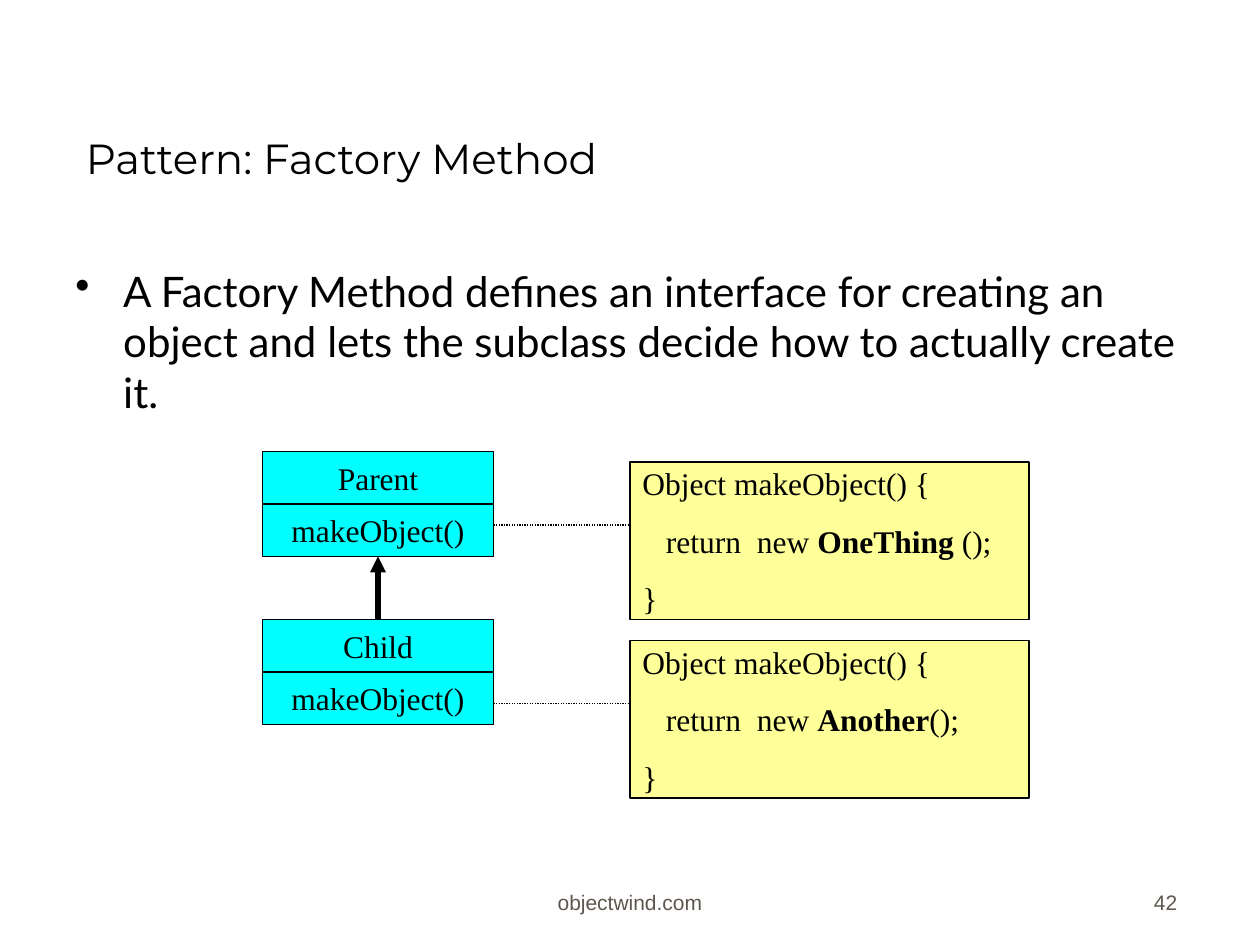
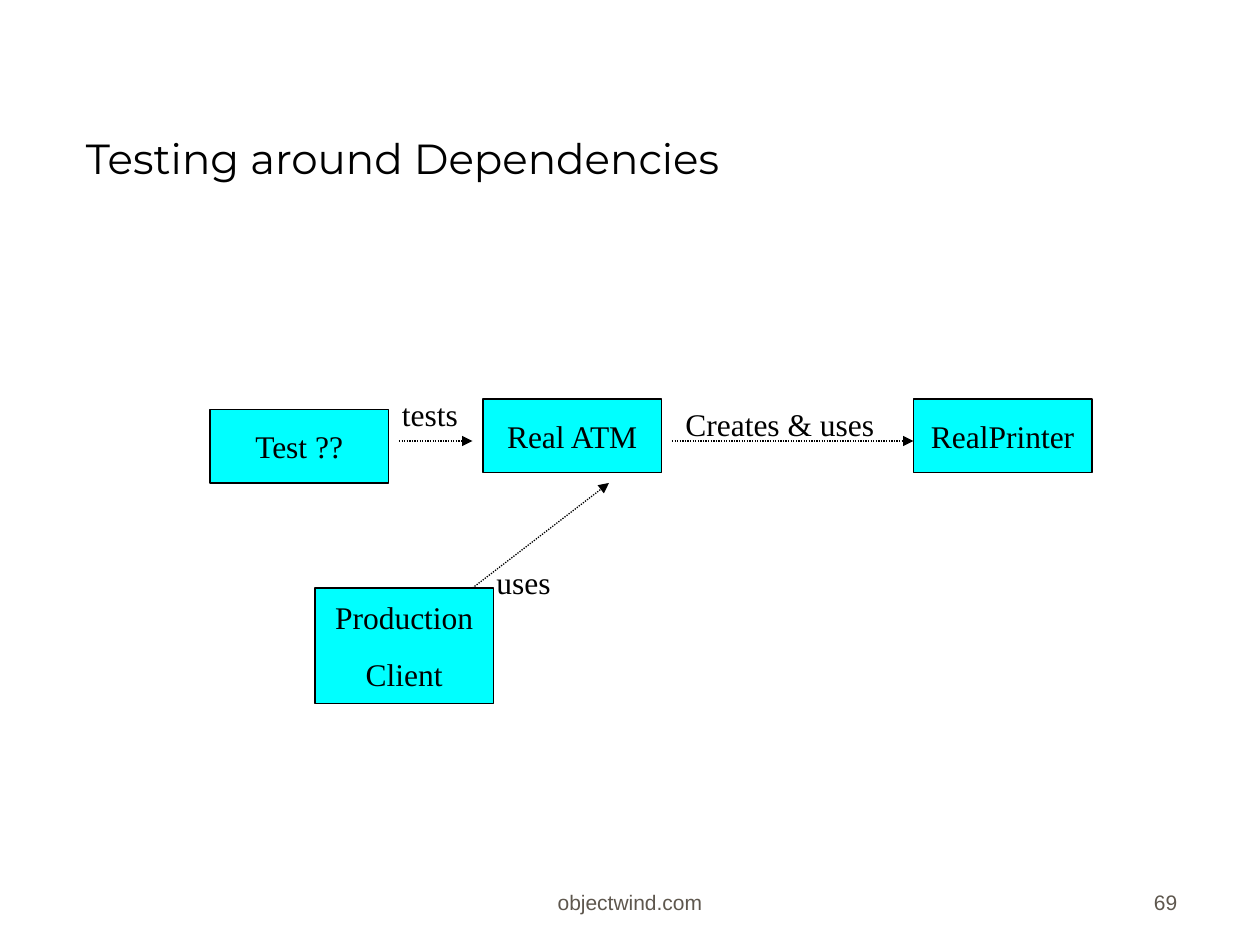
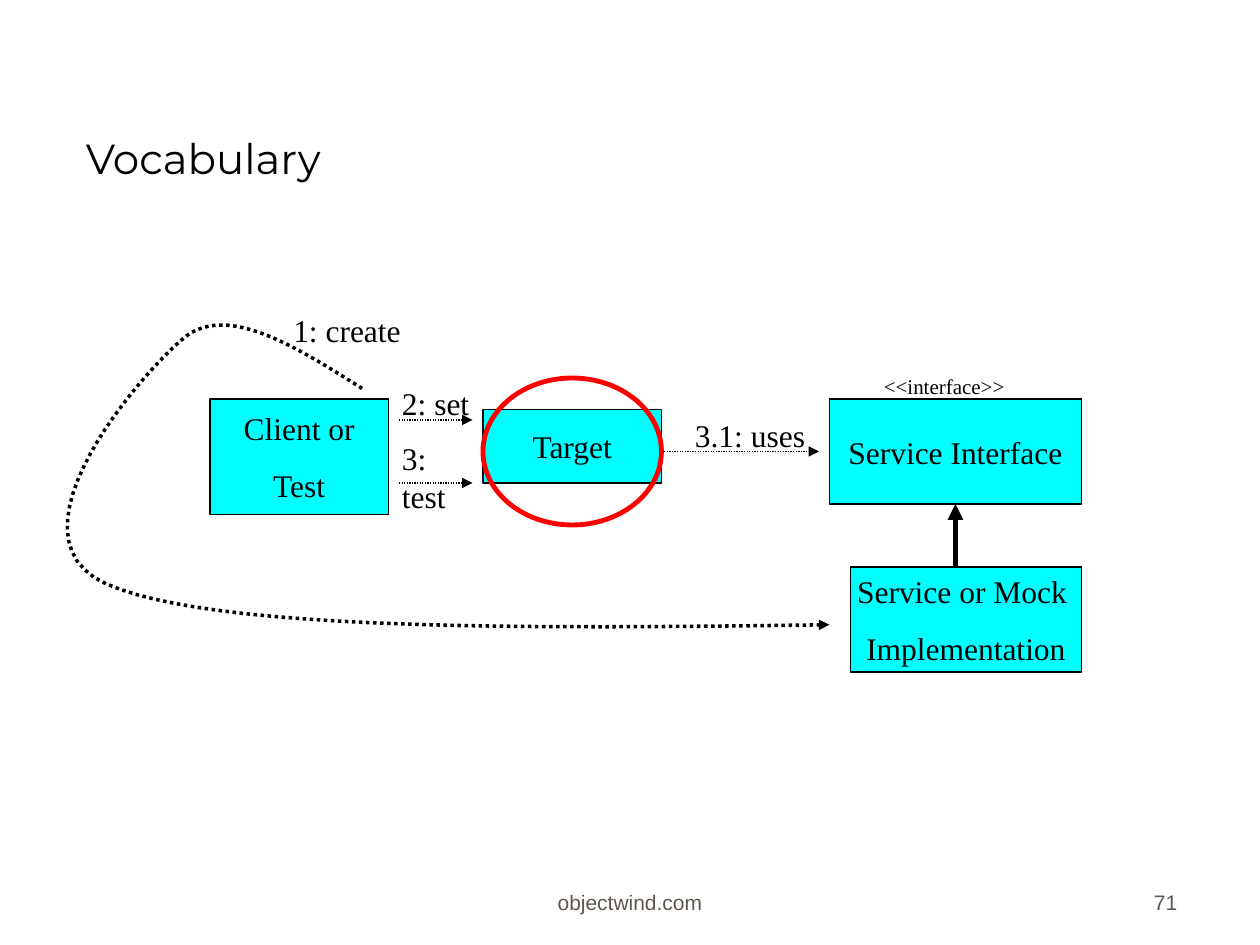
from dataclasses import dataclass

from lxml import etree
from pptx import Presentation
from pptx.dml.color import RGBColor
from pptx.enum.dml import MSO_LINE
from pptx.enum.shapes import MSO_CONNECTOR, MSO_SHAPE
from pptx.enum.text import MSO_ANCHOR, PP_ALIGN
from pptx.oxml.ns import qn
from pptx.util import Inches, Pt

LEFT, CENTER, RIGHT = PP_ALIGN.LEFT, PP_ALIGN.CENTER, PP_ALIGN.RIGHT
TOP, MIDDLE, BOTTOM = MSO_ANCHOR.TOP, MSO_ANCHOR.MIDDLE, MSO_ANCHOR.BOTTOM
RECT, OVAL = MSO_SHAPE.RECTANGLE, MSO_SHAPE.OVAL
STRAIGHT = MSO_CONNECTOR.STRAIGHT
DOTTED = MSO_LINE.ROUND_DOT

CELL = Inches(1) // 12  # the slide is a grid of 120 columns by 90 rows


def cells(*values):
    return [round(v * CELL) for v in values]


def font(name, size, color):
    return {"name": name, "size": Pt(size), "color": color}


@dataclass
class Theme:
    ink = RGBColor(0, 0, 0)
    grey = RGBColor(0x5E, 0x57, 0x4E)
    cyan = RGBColor(0, 0xFF, 0xFF)
    yellow = RGBColor(0xFF, 0xFF, 0x99)
    red = RGBColor(0xFF, 0, 0)
    title = font("Montserrat", 24, ink)
    body = font("Lato", 24, ink)
    diagram = font("Times New Roman", 18, ink)
    small = font("Times New Roman", 12, ink)
    footer = font("Arial", 12, grey)
    thin, curve, ring, thick = 0.75, 2, 2.75, 3
    para_gap = Pt(11.2)


class Deck:
    def __init__(self, theme):
        self.theme = theme
        self.prs = Presentation()
        self.prs.slide_width, self.prs.slide_height = cells(120, 90)
        self.s = None

    # Slide frame: title, footer and number
    def slide(self, title, number):
        t = self.theme
        self.s = self.prs.slides.add_slide(self.prs.slide_layouts[6])
        self.text((7, 3, 96.4, 15), title, t.title, anchor=BOTTOM)
        self.text((41, 81.7, 38, 6), "objectwind.com", t.footer, CENTER, BOTTOM)
        self.text((88.3, 81.7, 25, 6), str(number), t.footer, RIGHT, BOTTOM)

    # Text: lines are split at "\n", every second part around "**" is bold
    def put_text(self, tf, text, style, align, anchor, wrap):
        tf.word_wrap, tf.vertical_anchor = wrap, anchor
        for i, line in enumerate(text.split("\n")):
            p = tf.add_paragraph() if i else tf.paragraphs[0]
            p.alignment = align
            p.space_before = self.theme.para_gap if i else Pt(0)
            for j, part in enumerate(line.split("**")):
                r = p.add_run()
                r.text = part
                for key, value in style.items():
                    if key == "color":
                        r.font.color.rgb = value
                    else:
                        setattr(r.font, key, value)
                r.font.bold = j % 2 == 1

    def text(self, box, text, style, align=LEFT, anchor=TOP, wrap=True):
        sp = self.s.shapes.add_textbox(*cells(*box))
        self.put_text(sp.text_frame, text, style, align, anchor, wrap)
        return sp

    def label(self, x, y, width, text, style=None):
        self.text((x, y, width, 4.8), text, style or self.theme.diagram, wrap=False)

    def bullet(self, box, text):
        p = self.text(box, text, self.theme.body).text_frame.paragraphs[0]
        pPr = p._p.get_or_add_pPr()
        pPr.set("marL", str(Inches(0.38)))
        pPr.set("indent", str(-Inches(0.38)))
        etree.SubElement(pPr, qn("a:buChar")).set("char", "•")

    # Outlines
    def stroke(self, line, width, color=None, dash=None, arrow=False):
        line.color.rgb = color or self.theme.ink
        line.width = Pt(width)
        if dash:
            line.dash_style = dash
        if arrow:
            ln = line._get_or_add_ln()
            etree.SubElement(ln, qn("a:tailEnd")).set("type", "triangle")

    # Boxes
    def box(self, box, text, fill=None, align=CENTER):
        sp = self.s.shapes.add_shape(RECT, *cells(*box))
        sp.shadow.inherit = False
        sp.fill.solid()
        sp.fill.fore_color.rgb = fill or self.theme.cyan
        self.stroke(sp.line, self.theme.thin)
        self.put_text(sp.text_frame, text, self.theme.diagram, align, MIDDLE, False)

    def class_box(self, x, y, name, method):
        for row, text in enumerate((name, method)):
            self.box((x, y + 5 * row, 22, 5), text)

    def code(self, x, y, product):
        text = f"Object makeObject() {{\n   return  new {product};\n}}"
        self.box((x, y, 38, 15), text, self.theme.yellow, LEFT)

    def ring(self, box):
        sp = self.s.shapes.add_shape(OVAL, *cells(*box))
        sp.shadow.inherit = False
        sp.fill.background()
        self.stroke(sp.line, self.theme.ring, self.theme.red)

    # Lines
    def connect(self, x1, y1, x2, y2, width=None, dash=DOTTED, arrow=True):
        c = self.s.shapes.add_connector(STRAIGHT, *cells(x1, y1, x2, y2))
        self.stroke(c.line, width or self.theme.thin, dash=dash, arrow=arrow)
        etree.SubElement(c._element.spPr, qn("a:effectLst"))

    def inherit(self, x, y):
        self.connect(x, y + 6, x, y, self.theme.thick, dash=None)

    def curve(self, start, bends, steps=24):
        points, p0 = [], start
        for p1, p2, p3 in bends:
            for t in (i / steps for i in range(1, steps + 1)):
                u = 1 - t
                points.append(cells(*(
                    u**3 * a + 3 * u * u * t * b + 3 * u * t * t * c + t**3 * d
                    for a, b, c, d in zip(p0, p1, p2, p3))))
            p0 = p3
        fb = self.s.shapes.build_freeform(*cells(*start))
        fb.add_line_segments(points, close=False)
        sp = fb.convert_to_shape()
        sp.shadow.inherit = False
        sp.fill.background()
        self.stroke(sp.line, self.theme.curve, dash=DOTTED, arrow=True)


def factory_method(d):
    d.slide("Pattern: Factory Method", 42)
    d.bullet((6, 24.7, 107.3, 54.7),
             "A Factory Method defines an interface for creating an object "
             "and lets the subclass decide how to actually create it.")
    for name, y, code_y, link_y, product in (
            ("Parent", 43, 44, 50, "**OneThing** ()"),
            ("Child", 59, 61, 67, "**Another**()")):
        d.class_box(25, y, name, "makeObject()")
        d.code(60, code_y, product)
        d.connect(47, link_y, 60, link_y, arrow=False)
    d.inherit(36, 53)


def dependencies(d):
    d.slide("Testing around Dependencies", 69)
    # Classes
    for x, y, height, name in ((20, 39, 7, "Test ??"), (46, 38, 7, "Real ATM"),
                               (87, 38, 7, "RealPrinter"),
                               (30, 56, 11, "Production\nClient")):
        d.box((x, y, 17, height), name)
    # Relations
    d.label(37.1, 37, 7.7, "tests")
    d.connect(38, 42, 45, 42)
    d.label(64.1, 38, 20.4, "Creates & uses")
    d.connect(64, 42, 87, 42)
    d.label(46.1, 53, 7.6, "uses")
    d.connect(45, 56, 58, 46)


def vocabulary(d):
    d.slide("Vocabulary", 71)
    # Participants
    d.label(83, 35, 13.9, "<<interface>>", d.theme.small)
    d.box((79, 38, 24, 10), "Service Interface")
    d.box((81, 54, 22, 10), "Service or Mock \nImplementation")
    d.inherit(91, 48)
    d.box((20, 38, 17, 11), "Client or\nTest")
    d.box((46, 39, 17, 7), "Target")
    d.ring((46, 36, 17, 14))
    # Steps
    d.curve((34.5, 37), (((28.2, 33), (21.8, 29), (17.75, 32)),
                         ((13.7, 35.2), (-0.1, 51), (10.1, 55.6)),
                         ((20.3, 60.1), (49.6, 59.9), (79, 59.5))))
    d.label(26.75, 29, 12.6, "1: create")
    d.label(37.1, 36, 8.8, "2: set")
    d.connect(38, 40, 45, 40)
    d.label(37.1, 41.2, 9.6, "3: test")
    d.connect(38, 46, 45, 46)
    d.label(65, 39, 12.9, "3.1: uses")
    d.connect(63, 43, 78, 43)


def main():
    d = Deck(Theme())
    for build in (factory_method, dependencies, vocabulary):
        build(d)
    d.prs.save("out.pptx")


if __name__ == "__main__":
    main()
